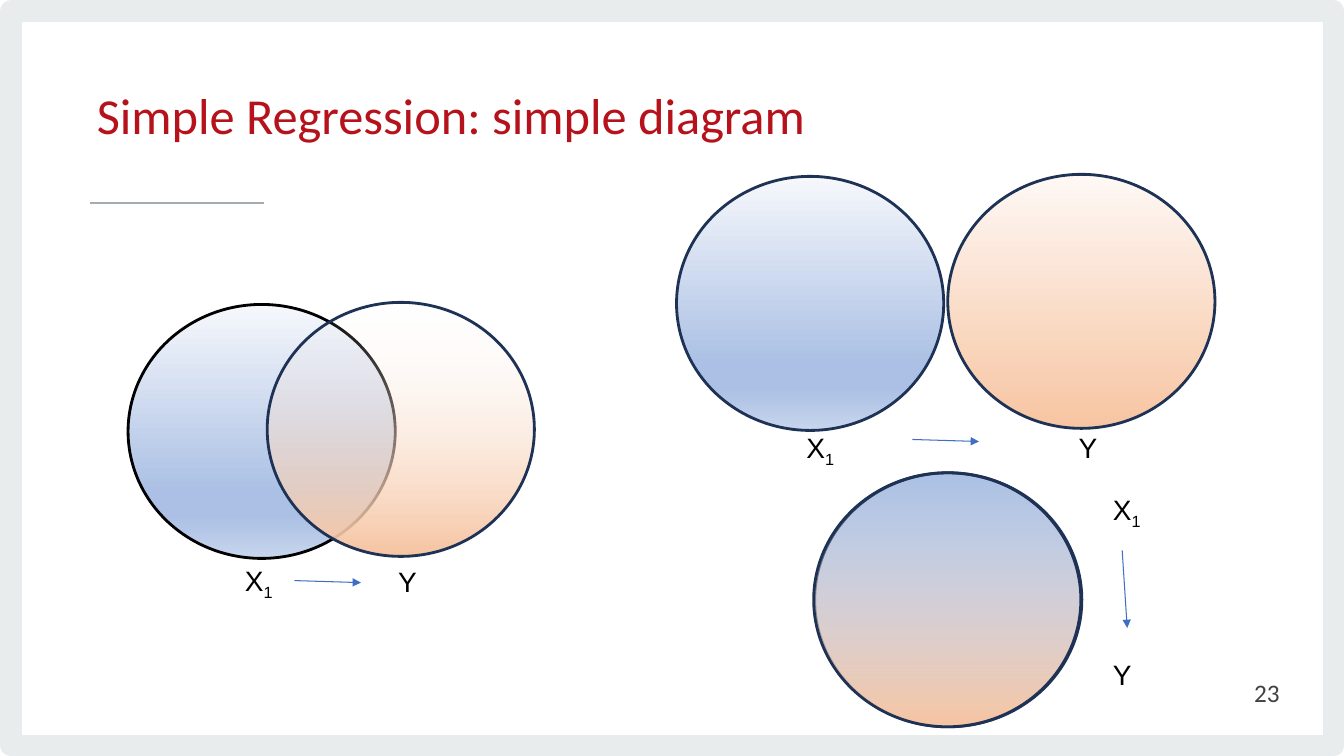
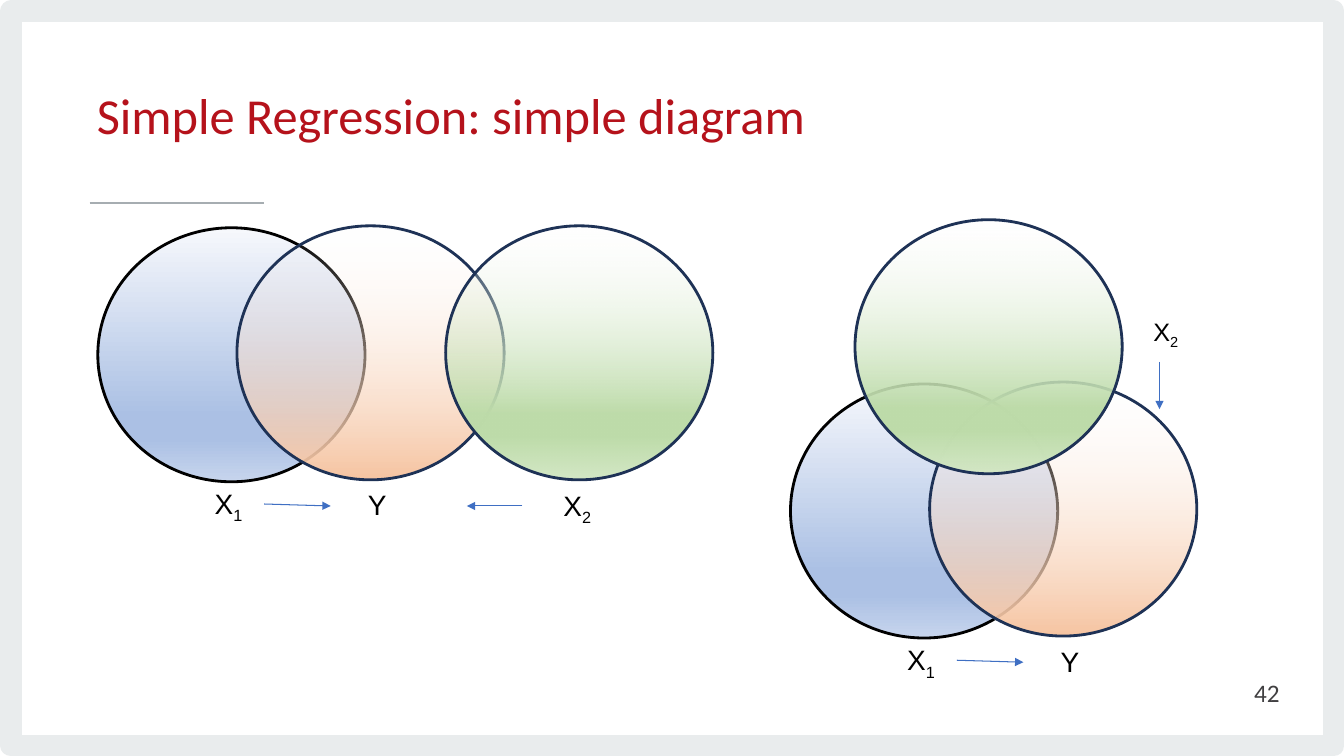
import lxml.etree
import pptx
import pptx.dml.color
import pptx.enum.shapes
import pptx.enum.text
import pptx.oxml.ns
import pptx.util

Inches, Pt = pptx.util.Inches, pptx.util.Pt
qn = pptx.oxml.ns.qn
ALIGN = pptx.enum.text.PP_ALIGN
MIDDLE = pptx.enum.text.MSO_ANCHOR.MIDDLE

TITLE = "Simple Regression: simple diagram"
RED, GREY, NAVY, BLACK, BLUE = "B5121B", "414042", "1E3256", "000000", "3F6FC3"
FRAME, RULE = "E9ECED", "A6ADB1"
CIRCLE_SIZE = (2.65, 2.52)

# Gradient stops from top to bottom: position %, colour, opacity %
BLUE_FILL = [(0, "F6F8FC", 100), (74, "ABC0E4", 100), (83, "ABC0E4", 100), (100, "C7D5ED", 100)]
ORANGE_FILL = [(0, "FEF8F5", 100), (100, "F7C5A2", 100), (100, "F7C5A2", 100), (100, "FAD8C1", 100)]
GREEN_FILL = [(0, "F8FBF6", 0), (74, "BEDCAA", 100), (83, "BEDCAA", 100), (100, "D4E8C6", 100)]
FLAT_BLUE_FILL = [BLUE_FILL[0], (0, "ABC0E4", 100), *BLUE_FILL[2:]]
CLEAR_ORANGE_FILL = [(0, "FEF8F5", 0), *ORANGE_FILL[1:]]

# pairs: left, top of an overlapping X1 and Y
# circles: fill, left, top
# labels: letter, subscript, left, top, width, size
# arrows: from x, y, to x, y
SLIDES = [
    {
        "number": "23",
        "pairs": [(1.27, 3.02)],
        "circles": [
            (BLUE_FILL, 6.71, 1.75),
            (ORANGE_FILL, 9.4, 1.73),
            (FLAT_BLUE_FILL, 8.08, 4.69),
            (CLEAR_ORANGE_FILL, 8.07, 4.69),
        ],
        "labels": [
            ("X", "1", 7.9, 4.22, 0.75, 20),
            ("Y", "", 10.6, 4.22, 0.75, 20),
            ("X", "1", 10.94, 4.84, 0.75, 20),
            ("Y", "", 10.94, 6.47, 0.75, 20),
        ],
        "arrows": [(9.05, 4.36, 9.71, 4.38), (11.13, 5.46, 11.18, 6.23)],
    },
    {
        "number": "42",
        "pairs": [(7.84, 3.81), (0.97, 2.26)],
        "circles": [(GREEN_FILL, 4.42, 2.24), (GREEN_FILL, 8.48, 2.18)],
        "labels": [
            ("X", "2", 5.49, 4.8, 1.5, 20),
            ("X", "2", 11.34, 3.09, 1.02, 18),
        ],
        "arrows": [(5.18, 5.02, 4.63, 5.02), (11.5, 3.59, 11.5, 4.06)],
    },
]


def rgb(colour):
    return pptx.dml.color.RGBColor.from_string(colour)


def add_run(paragraph, text, size, font, colour):
    run = paragraph.add_run()
    run.text = text
    run.font.size, run.font.name = Pt(size), font
    run.font.color.rgb = rgb(colour)
    return run


def add_text_box(slide, left, top, width, height):
    frame = slide.shapes.add_textbox(*map(Inches, (left, top, width, height))).text_frame
    frame.word_wrap = True
    return frame


def add_line(slide, ends, colour, weight):
    line = slide.shapes.add_connector(
        pptx.enum.shapes.MSO_CONNECTOR.STRAIGHT, *map(Inches, ends))
    line.line.color.rgb = rgb(colour)
    line.line.width = Pt(weight)
    lxml.etree.SubElement(line.element.spPr, qn("a:effectLst"))
    return line


def add_outlined(slide, kind, box, colour, weight):
    shape = slide.shapes.add_shape(kind, *map(Inches, box))
    shape.shadow.inherit = False
    shape.fill.background()
    shape.line.color.rgb = rgb(colour)
    shape.line.width = Pt(weight)
    return shape


def add_arrow(slide, ends):
    arrow = add_line(slide, ends, BLUE, 0.75)
    outline = arrow.element.spPr.find(qn("a:ln"))
    lxml.etree.SubElement(outline, qn("a:tailEnd"), type="triangle")


def add_circle(slide, stops, left, top, outline=NAVY):
    circle = add_outlined(slide, pptx.enum.shapes.MSO_SHAPE.OVAL,
                          (left, top, *CIRCLE_SIZE), outline, 2)
    circle.fill.gradient()
    circle.fill.gradient_angle = 270
    stop_list = next(circle.element.iter(qn("a:gsLst")))
    for old_stop in list(stop_list):
        stop_list.remove(old_stop)
    for position, colour, opacity in stops:
        stop = lxml.etree.SubElement(stop_list, qn("a:gs"), pos=str(position * 1000))
        tint = lxml.etree.SubElement(stop, qn("a:srgbClr"), val=colour)
        if opacity < 100:
            lxml.etree.SubElement(tint, qn("a:alpha"), val=str(opacity * 1000))


def add_label(slide, letter, subscript, left, top, width, size):
    frame = add_text_box(slide, left, top, width, size * 0.022)
    paragraph = frame.paragraphs[0]
    add_run(paragraph, letter, size, "Arial", BLACK)
    if subscript:
        lowered = add_run(paragraph, subscript, size, "Arial", BLACK)
        lowered._r.get_or_add_rPr().set("baseline", "-25000")


def add_overlapping_pair(slide, left, top):
    """Draw X1 partly covered by Y, with both labels and the arrow below."""
    add_circle(slide, BLUE_FILL, left, top, BLACK)
    add_circle(slide, CLEAR_ORANGE_FILL, left + 1.38, top - 0.02)
    add_label(slide, "X", "1", left + 1.06, top + 2.52, 1.5, 20)
    add_label(slide, "Y", "", left + 2.58, top + 2.53, 0.75, 20)
    add_arrow(slide, (left + 1.65, top + 2.74, left + 2.31, top + 2.76))


def prepare_layout(layout):
    """Keep only the title placeholder and place it."""
    title, *others = layout.placeholders
    for placeholder in others:
        placeholder.element.getparent().remove(placeholder.element)
    title.left, title.top, title.width, title.height = map(Inches, (0.86, 0.52, 8.79, 1.34))


def move_decoration_to_layout(slide):
    """Draw the frame and rule, then hand them to the layout so all slides share them."""
    frame = add_outlined(slide, pptx.enum.shapes.MSO_SHAPE.RECTANGLE,
                         (0.11, 0.11, 13.12, 7.29), FRAME, 15.11)
    rule = add_line(slide, (0.89, 2.01, 2.62, 2.01), RULE, 1.33)
    for part in (frame, rule):
        slide.slide_layout.shapes.element.append(part.element)


def add_title(slide):
    frame = slide.shapes.title.text_frame
    frame.vertical_anchor = MIDDLE
    frame.auto_size = pptx.enum.text.MSO_AUTO_SIZE.NONE
    paragraph = frame.paragraphs[0]
    paragraph.alignment = ALIGN.LEFT
    paragraph.line_spacing, paragraph.space_before = Pt(34.7), Pt(7.5)
    add_run(paragraph, TITLE, 36, "Calibri", RED)


def add_page_number(slide, number):
    frame = add_text_box(slide, 9.79, 6.67, 3, 0.4)
    frame.vertical_anchor = MIDDLE
    frame.paragraphs[0].alignment = ALIGN.RIGHT
    add_run(frame.paragraphs[0], number, 18, "Calibri", GREY)


def main():
    deck = pptx.Presentation()
    deck.slide_width, deck.slide_height = Inches(13.33), Inches(7.5)
    layout = deck.slide_layouts[5]
    prepare_layout(layout)
    for index, content in enumerate(SLIDES):
        slide = deck.slides.add_slide(layout)
        if index == 0:
            move_decoration_to_layout(slide)
        add_title(slide)
        add_page_number(slide, content["number"])
        for pair in content["pairs"]:
            add_overlapping_pair(slide, *pair)
        for circle in content["circles"]:
            add_circle(slide, *circle)
        for label in content["labels"]:
            add_label(slide, *label)
        for ends in content["arrows"]:
            add_arrow(slide, ends)
    deck.save("out.pptx")


if __name__ == "__main__":
    main()
